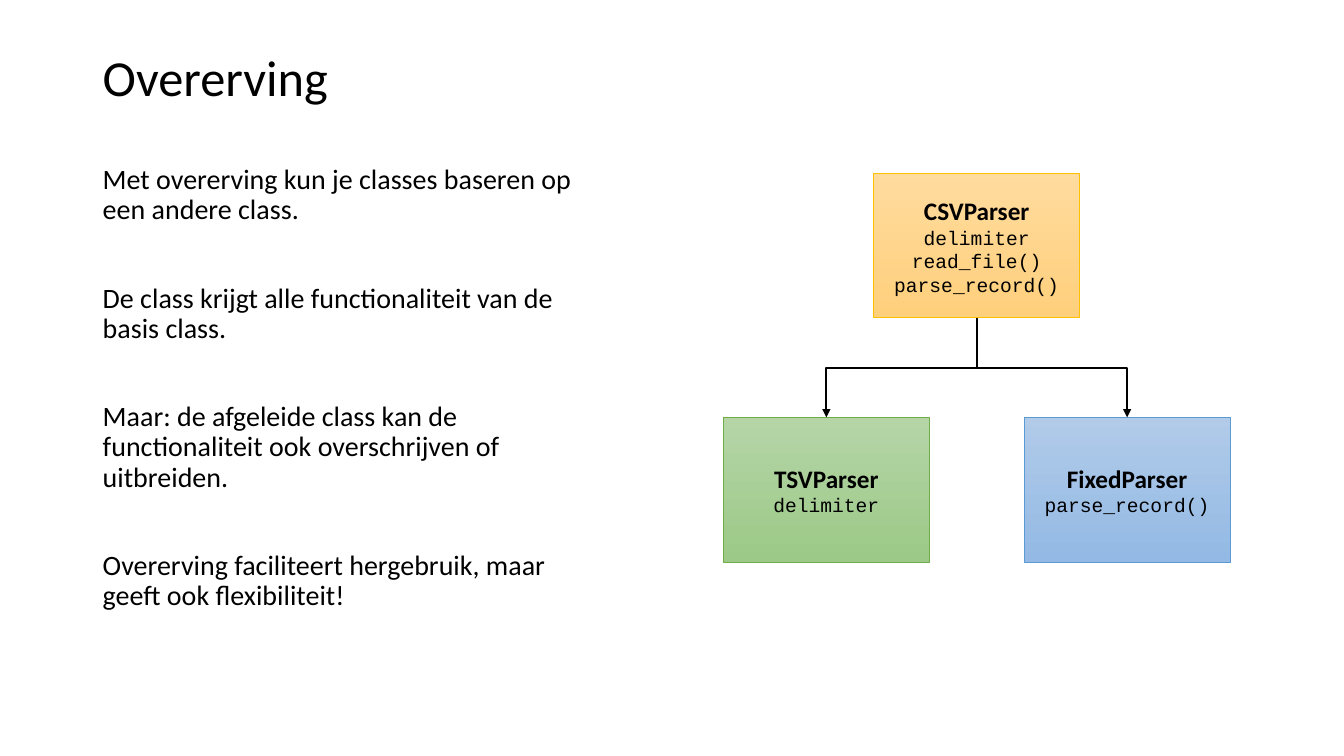
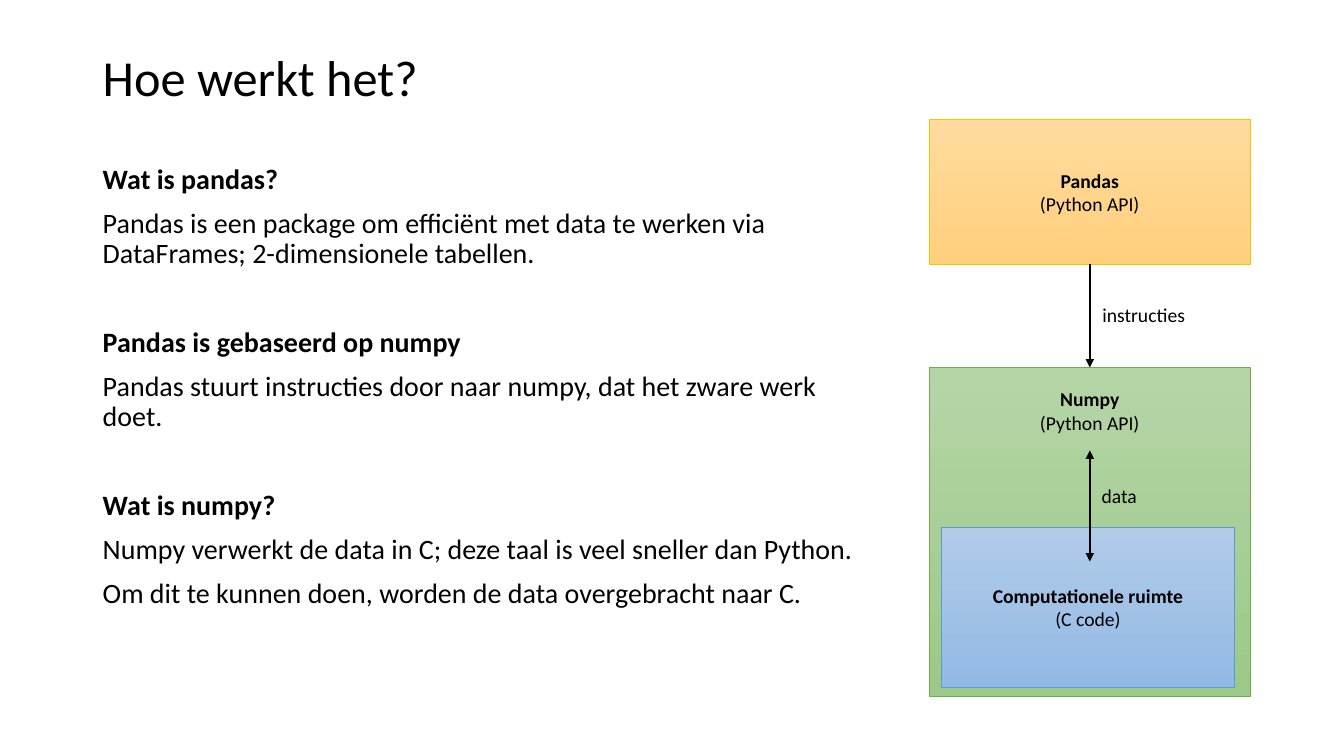
from collections import namedtuple

from lxml import etree
from pptx import Presentation
from pptx import util as u
from pptx.dml.color import RGBColor
from pptx.enum import shapes, text
from pptx.oxml import ns

Theme = namedtuple("Theme", "start end border")

BLACK = RGBColor(0x00, 0x00, 0x00)
ORANGE = Theme(RGBColor(0xFF, 0xDB, 0x9E), RGBColor(0xFF, 0xD0, 0x7C), RGBColor(0xFF, 0xC0, 0x00))
GREEN = Theme(RGBColor(0xB5, 0xD5, 0xA7), RGBColor(0x9C, 0xC9, 0x87), RGBColor(0x70, 0xAD, 0x47))
BLUE = Theme(RGBColor(0xB1, 0xCB, 0xE9), RGBColor(0x93, 0xB9, 0xE4), RGBColor(0x5B, 0x9B, 0xD5))

BODY_FONT = "Calibri"
CODE_FONT = "Courier New"
MARGIN = 2.34
BOX_HEIGHT = 3.64
PARA_GAP = 10
SECTION_GAP = 41.5


def add_span(para, words, size, bold=False, font=BODY_FONT):
    span = para.add_run()
    span.text = words
    span.font.name = font
    span.font.size = u.Pt(size)
    span.font.bold = bold
    span.font.color.rgb = BLACK


def next_para(frame, index):
    return frame.add_paragraph() if index else frame.paragraphs[0]


def add_text_box(page, left, top, width, height):
    box = page.shapes.add_textbox(u.Cm(left), u.Cm(top), u.Cm(width), u.Cm(height))
    box.text_frame.word_wrap = True
    return box.text_frame


def add_page(deck, title):
    page = deck.slides.add_slide(deck.slide_layouts[6])
    frame = add_text_box(page, MARGIN, 1.02, 29.2, 2)
    frame.vertical_anchor = text.MSO_ANCHOR.MIDDLE
    para = frame.paragraphs[0]
    para.line_spacing = 0.9
    add_span(para, title, 36)
    return page


def add_body(page, width, sections):
    frame = add_text_box(page, MARGIN, 4.04, width, 13.1)
    lines = [(heading, True, SECTION_GAP) if heading else None for heading, _ in sections]
    index = 0
    for heading_line, (_, sentences) in zip(lines, sections):
        gap = SECTION_GAP if index else PARA_GAP
        entries = [(heading_line[0], True)] if heading_line else []
        entries += [(sentence, False) for sentence in sentences]
        for words, bold in entries:
            para = next_para(frame, index)
            para.line_spacing = 0.9
            para.space_before = u.Pt(gap)
            add_span(para, words, 20, bold)
            gap = PARA_GAP
            index += 1


def add_block(page, left, top, width, height, theme, name, details,
              name_size=14, detail_font=BODY_FONT, anchor=text.MSO_ANCHOR.MIDDLE):
    block = page.shapes.add_shape(shapes.MSO_SHAPE.RECTANGLE,
                                  u.Cm(left), u.Cm(top), u.Cm(width), u.Cm(height))
    block.shadow.inherit = False
    block.fill.gradient()
    block.fill.gradient_angle = 270
    for stop, position, color in zip(block.fill.gradient_stops, (0, 1), theme[:2]):
        stop.position = position
        stop.color.rgb = color
    block.line.color.rgb = theme.border
    block.line.width = u.Pt(0.5)
    frame = block.text_frame
    frame.word_wrap = True
    frame.vertical_anchor = anchor
    frame.margin_left = frame.margin_right = u.Cm(0.5)
    frame.margin_top = frame.margin_bottom = u.Cm(0.5)
    for index, words in enumerate([name, *details]):
        para = next_para(frame, index)
        para.alignment = text.PP_ALIGN.CENTER
        if index:
            add_span(para, words, 14, font=detail_font)
        else:
            add_span(para, words, name_size, bold=True)
    return block


def style_arrow(arrow, ends):
    arrow.line.color.rgb = BLACK
    arrow.line.width = u.Pt(1.5)
    outline = arrow.line._get_or_add_ln()
    for end in ends:
        etree.SubElement(outline, ns.qn(f"a:{end}"), type="triangle")
    etree.SubElement(arrow._element.spPr, ns.qn("a:effectLst"))


def add_arrow(page, x, top, bottom, ends=("tailEnd",)):
    arrow = page.shapes.add_connector(shapes.MSO_CONNECTOR.STRAIGHT,
                                      u.Cm(x), u.Cm(top), u.Cm(x), u.Cm(bottom))
    style_arrow(arrow, ends)
    return arrow


def add_branch(page, parent, child):
    start_x = parent.left + parent.width // 2
    start_y = parent.top + parent.height
    end_x = child.left + child.width // 2
    middle_x, middle_y = (start_x + end_x) // 2, (start_y + child.top) // 2
    half_drop, half_span = (child.top - start_y) // 2, abs(end_x - start_x) // 2
    side = 1 if end_x < start_x else -1
    branch = page.shapes.add_connector(shapes.MSO_CONNECTOR.ELBOW,
                                       start_x, start_y, end_x, child.top)
    branch.begin_connect(parent, 2)
    branch.end_connect(child, 0)
    branch.begin_x = middle_x - side * half_drop
    branch.end_x = middle_x + side * half_drop
    branch.begin_y = middle_y - half_span
    branch.end_y = middle_y + half_span
    branch.rotation = 180 - side * 90
    style_arrow(branch, ("tailEnd",))


def add_label(page, left, top, width, words):
    frame = add_text_box(page, left, top, width, 0.86)
    frame.word_wrap = False
    frame.auto_size = text.MSO_AUTO_SIZE.SHAPE_TO_FIT_TEXT
    add_span(frame.paragraphs[0], words, 14)


def build_inheritance(deck):
    page = add_page(deck, "Overerving")
    left, offset = 22.02, 3.79

    def add_class(x, y, theme, name, members):
        return add_block(page, x, y, 5.19, BOX_HEIGHT, theme, name, members, 18, CODE_FONT)

    parent = add_class(left, 4.37, ORANGE, "CSVParser",
                       ["delimiter", "read_file()", "parse_record()"])
    fixed = add_class(left + offset, 10.52, BLUE, "FixedParser", ["parse_record()"])
    tabbed = add_class(left - offset, 10.52, GREEN, "TSVParser", ["delimiter"])
    for child in (tabbed, fixed):
        add_branch(page, parent, child)
    add_body(page, 12.7, [
        (None, ["Met overerving kun je classes baseren op een andere class."]),
        (None, ["De class krijgt alle functionaliteit van de basis class."]),
        (None, ["Maar: de afgeleide class kan de functionaliteit ook overschrijven of uitbreiden."]),
        (None, ["Overerving faciliteert hergebruik, maar geeft ook flexibiliteit!"]),
    ])


def build_pandas(deck):
    page = add_page(deck, "Hoe werkt het?")
    left, width = 23.41, 8.11
    center = left + width / 2
    pandas = add_block(page, left, 3.02, width, BOX_HEIGHT, ORANGE, "Pandas", ["(Python API)"])
    numpy = add_block(page, left, 9.26, width, 8.29, GREEN, "Numpy", ["(Python API)"],
                      anchor=text.MSO_ANCHOR.TOP)
    add_block(page, 23.72, 13.28, 7.4, 4.05, BLUE, "Computationele ruimte", ["(C code)"])
    add_body(page, 19.69, [
        ("Wat is pandas?",
         ["Pandas is een package om efficiënt met data te werken via DataFrames; "
          "2-dimensionele tabellen."]),
        ("Pandas is gebaseerd op numpy",
         ["Pandas stuurt instructies door naar numpy, dat het zware werk doet."]),
        ("Wat is numpy?",
         ["Numpy verwerkt de data in C; deze taal is veel sneller dan Python.",
          "Om dit te kunnen doen, worden de data overgebracht naar C."]),
    ])
    instructions = add_arrow(page, center, 6.66, 9.26)
    instructions.begin_connect(pandas, 2)
    instructions.end_connect(numpy, 0)
    add_label(page, 27.53, 7.52, 2.62, "instructies")
    add_arrow(page, center, 11.35, 14.15, ("headEnd", "tailEnd"))
    add_label(page, 27.51, 12.07, 1.42, "data")


def main():
    deck = Presentation()
    deck.slide_width = u.Cm(33.87)
    deck.slide_height = u.Cm(19.05)
    build_inheritance(deck)
    build_pandas(deck)
    deck.save("out.pptx")


if __name__ == "__main__":
    main()
